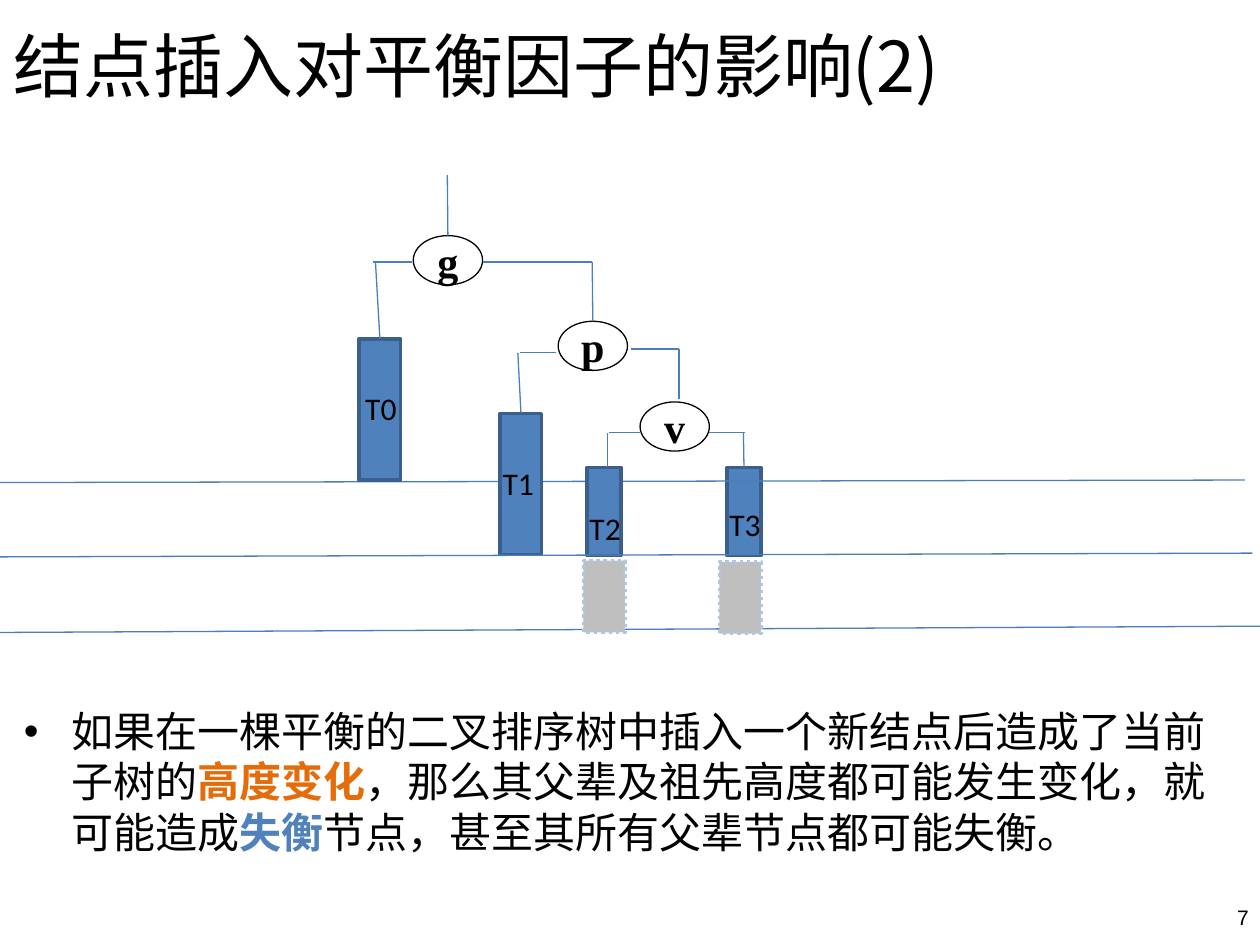
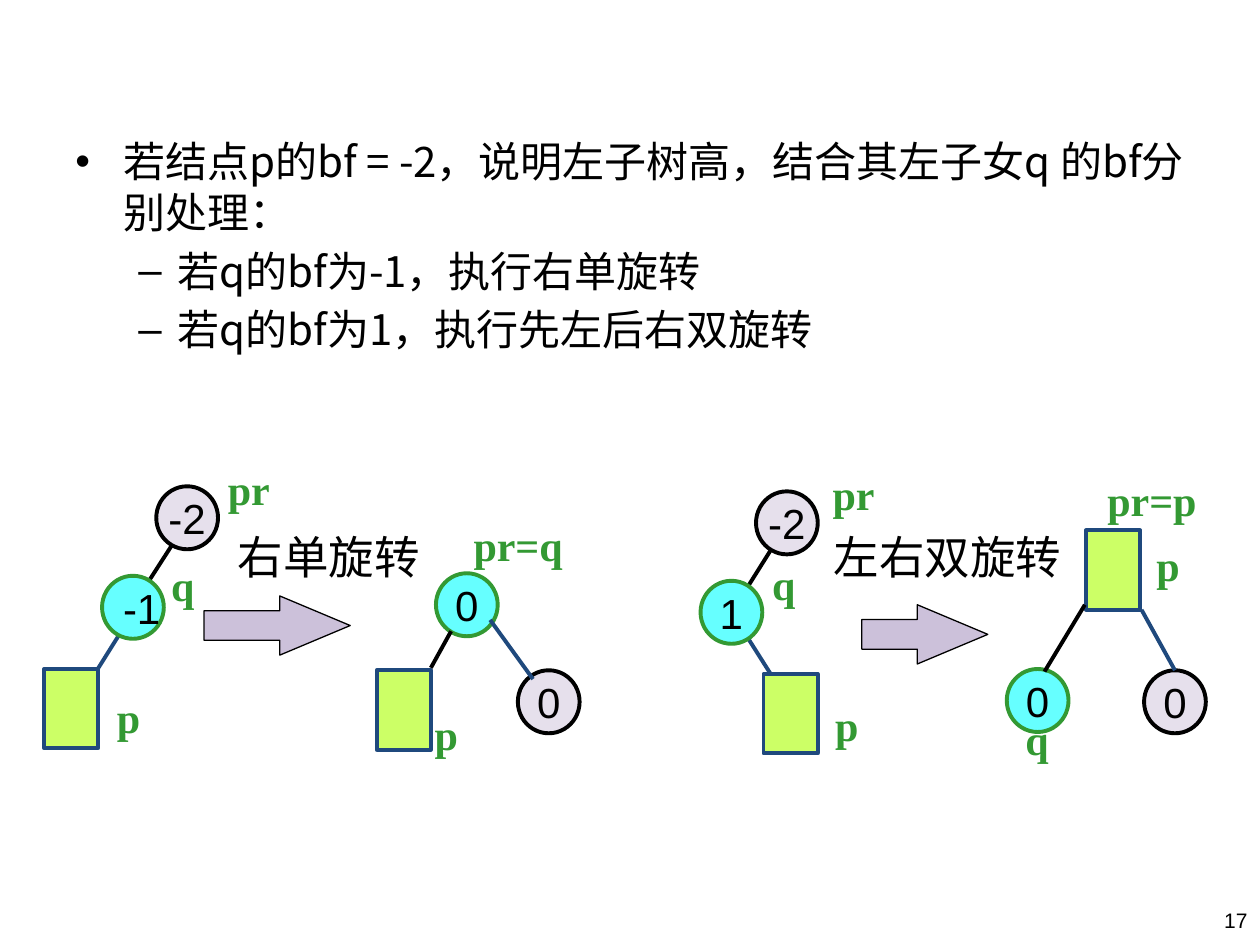
from lxml import etree
from pptx import Presentation
from pptx.dml.color import RGBColor
from pptx.enum.dml import MSO_LINE
from pptx.enum.shapes import MSO_CONNECTOR, MSO_SHAPE
from pptx.enum.text import MSO_ANCHOR, MSO_AUTO_SIZE, PP_ALIGN
from pptx.oxml.ns import qn
from pptx.util import Pt

PX = 9144  # 100 px to the inch
RECT, OVAL, ARROW = MSO_SHAPE.RECTANGLE, MSO_SHAPE.OVAL, MSO_SHAPE.RIGHT_ARROW
STRAIGHT, DOTTED = MSO_CONNECTOR.STRAIGHT, MSO_LINE.ROUND_DOT
LEFT, CENTER, RIGHT = PP_ALIGN.LEFT, PP_ALIGN.CENTER, PP_ALIGN.RIGHT
MIDDLE = MSO_ANCHOR.MIDDLE
SANS, SERIF, LABEL = "Arial", "Times New Roman", "Calibri"
CJK, TITLE_FONT = "Noto Sans CJK SC", "Noto Sans CJK JP"
COLORS = {
    "black": "000000", "edge": "4B7EBC", "bar": "4F81BD", "bar_line": "3A5F8C",
    "new": "BFBFBF", "new_line": "B0C6E1", "orange": "E46C0A",
    "lilac": "E6E0EC", "cyan": "66FFFF", "green": "339933", "lime": "CCFF66",
    "navy": "1F497D", "arrow": "CCC1DA",
}
COLORS = {name: RGBColor.from_string(value) for name, value in COLORS.items()}


def place(page, at, text="", kind=None, fill=None, line=None, width=0.75,
          size=24, font=SERIF, color="black", bold=False, align=LEFT,
          pad=(10, 0), wrap=True):
    """Add a text box, or a preset shape when kind is given, with one line of text."""
    at = [value * PX for value in at]
    if kind is None:
        box = page.shapes.add_textbox(*at)
    else:
        box = page.shapes.add_shape(kind, *at)
        box.shadow.inherit = False
        if fill:
            box.fill.solid()
            box.fill.fore_color.rgb = COLORS[fill]
        else:
            box.fill.background()
        box.line.color.rgb = COLORS[line]
        box.line.width = Pt(width)
    frame = box.text_frame
    frame.word_wrap = wrap
    frame.vertical_anchor = MIDDLE
    frame.margin_left, frame.margin_right = [side * PX for side in pad]
    if text:
        para = frame.paragraphs[0]
        para.alignment = align
        span = para.add_run()
        span.text = text
        span.font.size, span.font.bold = Pt(size), bold
        span.font.color.rgb = COLORS[color]
        span.font.name = font
        etree.SubElement(span._r.get_or_add_rPr(), qn("a:ea"), typeface=CJK)
    return box


def draw_line(page, start, end, color="edge", width=0.75, target=None):
    """Draw a straight line; it is joined to the top of target when one is given."""
    link = page.shapes.add_connector(STRAIGHT, *[value * PX for value in start + end])
    link.line.color.rgb = COLORS[color]
    link.line.width = Pt(width)
    etree.SubElement(link._element.spPr, qn("a:effectLst"))
    if target is not None:
        link.end_connect(target, 0)


deck = Presentation()
deck.slide_width, deck.slide_height = 1000 * PX, 750 * PX
insert_page = deck.slides.add_slide(deck.slide_layouts[5])
rotate_page = deck.slides.add_slide(deck.slide_layouts[6])

# Title
title = insert_page.shapes.title
title.left, title.top, title.width, title.height = 1 * PX, 0, 900 * PX, 102 * PX
title.text_frame.auto_size = MSO_AUTO_SIZE.NONE
title.text_frame.vertical_anchor = MIDDLE
para = title.text_frame.paragraphs[0]
para.alignment = LEFT
span = para.add_run()
span.text = "结点插入对平衡因子的影响(2)"
span.font.size, span.font.name = Pt(40), TITLE_FONT
span.font.color.rgb = COLORS["black"]
etree.SubElement(span._r.get_or_add_rPr(), qn("a:ea"), typeface=TITLE_FONT)

# Bulleted text and page numbers: each paragraph is a level and its coloured spans
bodies = [
    (insert_page, (9, 555, 972, 141), SERIF, [
        (0, [("如果在一棵平衡的二叉排序树中插入一个新结点后造成了当前子树的", "black"),
             ("高度变化", "orange"),
             ("，那么其父辈及祖先高度都可能发生变化，就可能造成", "black"),
             ("失衡", "bar"),
             ("节点，甚至其所有父辈节点都可能失衡。", "black")])]),
    (rotate_page, (50, 103, 926, 211), CJK, [
        (0, [("若结点p的bf = -2，说明左子树高，结合其左子女q 的bf分别处理：", "black")]),
        (1, [("若q的bf为-1，执行右单旋转", "black")]),
        (1, [("若q的bf为1，执行先左后右双旋转", "black")])]),
]
bullets = [("•", 38, -38), ("–", 81, -31)]
for page, at, font, paragraphs in bodies:
    frame = page.shapes.add_textbox(*[value * PX for value in at]).text_frame
    frame.word_wrap = True
    for index, (level, spans) in enumerate(paragraphs):
        para = frame.add_paragraph() if index else frame.paragraphs[0]
        para.level = level
        para.line_spacing = Pt(28.8)
        para.space_before = Pt(4.8 if index else 0)
        mark, margin, indent = bullets[level]
        props = para._p.get_or_add_pPr()
        props.set("marL", str(margin * PX))
        props.set("indent", str(indent * PX))
        etree.SubElement(props, qn("a:buFont"), typeface=SANS)
        etree.SubElement(props, qn("a:buChar"), char=mark)
        for text, color in spans:
            span = para.add_run()
            span.text = text
            span.font.size, span.font.bold = Pt(24), color != "black"
            span.font.color.rgb = COLORS[color]
            span.font.name = font
            etree.SubElement(span._r.get_or_add_rPr(), qn("a:ea"), typeface=CJK)

for page, number, left, top in [(insert_page, "7", 958, 708), (rotate_page, "17", 957, 710)]:
    place(page, (left, top, 43, 40), number, size=12, font=SANS, align=RIGHT, pad=(0, 10))

# Insertion: tree nodes
nodes = {}
for name, left, top in [("g", 328, 187), ("p", 443, 255), ("v", 508, 319)]:
    nodes[name] = place(insert_page, (left, top, 55, 39), name, OVAL, line="black",
                        bold=True, align=CENTER, pad=(0, 0), wrap=False)

# Insertion: subtrees as bars, with the first level line behind all but T3
bars = {}
for name, at in [("T3", (577, 371, 27, 70)), ("T2", (466, 371, 27, 70)),
                 ("T1", (397, 328, 33, 112)), ("T0", (285, 269, 33, 112))]:
    bars[name] = place(insert_page, at, kind=RECT, fill="bar", line="bar_line", width=2)
    if name == "T3":
        draw_line(insert_page, (-9, 383), (988, 381))
for name, left, top in [("T0", 280, 304), ("T1", 389, 363), ("T2", 458, 399), ("T3", 569, 396)]:
    place(insert_page, (left, top, 49, 40), name, size=18, font=LABEL)

# Insertion: remaining level lines and the newly added nodes
draw_line(insert_page, (0, 442), (994, 439))
draw_line(insert_page, (-2, 502), (1000, 497))
for left, top in [(463, 445), (571, 446)]:
    new_node = place(insert_page, (left, top, 33, 57), kind=RECT, fill="new",
                     line="new_line", width=2)
    new_node.line.dash_style = DOTTED

# Insertion: tree edges
for start, end, target in [
    ((355, 139), (355, 187), nodes["g"]),
    ((296, 208), (327, 208), None), ((298, 208), (300, 269), bars["T0"]),
    ((383, 208), (470, 208), None), ((470, 208), (470, 255), nodes["p"]),
    ((413, 280), (441, 280), None), ((411, 280), (413, 328), bars["T1"]),
    ((501, 277), (539, 277), None), ((539, 277), (539, 317), None),
    ((483, 343), (509, 343), None), ((482, 344), (482, 371), None),
    ((563, 343), (591, 343), None), ((590, 343), (590, 371), bars["T3"]),
]:
    draw_line(insert_page, start, end, target=target)

# Rotations: edges that run under the nodes
for start, end, color in [
    ((102, 492), (65, 551), "navy"), ((144, 421), (106, 480), "black"),
    ((587, 496), (625, 556), "navy"), ((619, 425), (582, 484), "black"),
]:
    draw_line(rotate_page, start, end, color, 2.25)

# Rotations: circles with balance factors, and boxes for p
circles = []
for text, left, top, fill, line in [
    ("-2", 124, 386, "lilac", "black"), ("-1", 81, 457, "cyan", "green"),
    ("0", 346, 455, "cyan", "green"), ("0", 411, 532, "lilac", "black"),
    ("-2", 600, 390, "lilac", "black"), ("1", 556, 461, "cyan", "green"),
    ("0", 799, 531, "cyan", "green"), ("0", 908, 532, "lilac", "black"),
]:
    circles.append(place(rotate_page, (left, top, 49, 50), text, OVAL, fill, line, 2.25,
                         font=SANS, align=CENTER, wrap=False,
                         pad=(14 if text == "-1" else 0, 0)))
for left, top in [(35, 531), (299, 532), (606, 535), (862, 421)]:
    place(rotate_page, (left, top, 43, 63), kind=RECT, fill="lime", line="navy", width=2.25)

# Rotations: pointer names
for text, left, top, width in [
    ("pr", 171, 363, 53), ("q", 126, 439, 39), ("p", 83, 544, 39),
    ("pr=q", 366, 407, 92), ("p", 335, 557, 39),
    ("pr", 651, 367, 53), ("q", 603, 438, 39), ("p", 653, 550, 39),
    ("pr=p", 869, 372, 92), ("p", 908, 423, 39), ("q", 804, 561, 39),
]:
    place(rotate_page, (left, top, width, 50), text, color="green", bold=True)

# Rotations: edges that run over the nodes
for start, end, color, target in [
    ((358, 501), (342, 530), "black", None), ((389, 492), (423, 539), "navy", None),
    ((861, 480), (829, 533), "black", None), ((906, 484), (933, 532), "navy", circles[-1]),
]:
    draw_line(rotate_page, start, end, color, 2.25, target)

# Rotations: captions and block arrows
for text, caption_left, caption_width, left, top, width in [
    ("右单旋转", 179, 165, 162, 473, 116), ("左右双旋转", 652, 201, 684, 480, 100),
]:
    place(rotate_page, (caption_left, 415, caption_width, 53), text, size=26, font=SANS)
    arrow = place(rotate_page, (left, top, width, 47), kind=ARROW, fill="arrow", line="black")
    arrow.adjustments[0], arrow.adjustments[1] = 0.5, 1.19

deck.save("out.pptx")
